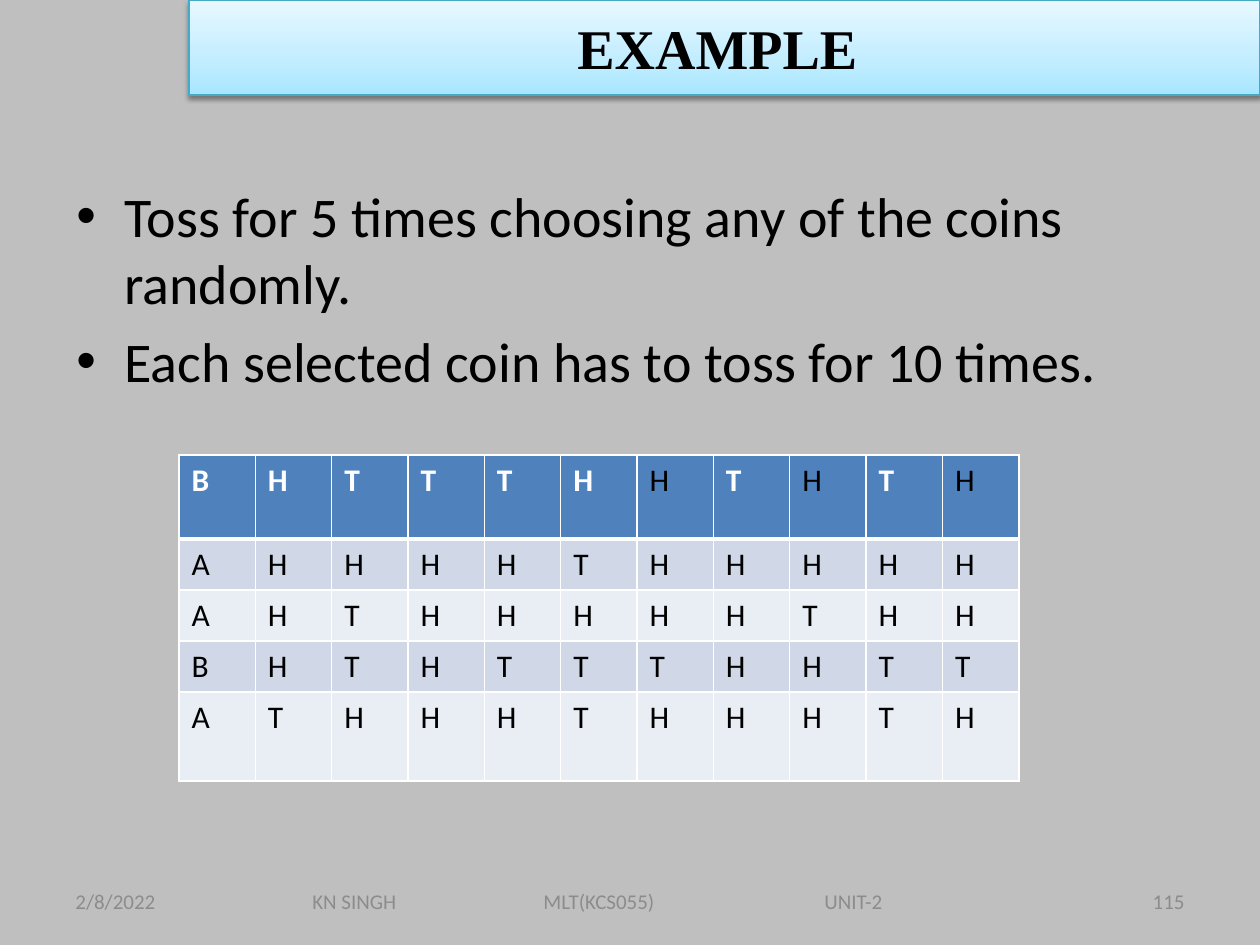
from copy import deepcopy
from dataclasses import dataclass

from lxml import etree
from pptx import Presentation
from pptx.dml.color import RGBColor
from pptx.enum.text import MSO_ANCHOR, MSO_AUTO_SIZE, PP_ALIGN
from pptx.oxml import parse_xml
from pptx.oxml.ns import nsdecls, qn
from pptx.util import Pt

MIDDLE = MSO_ANCHOR.MIDDLE
NO_AUTOFIT = MSO_AUTO_SIZE.NONE
LEFT, CENTER, RIGHT = PP_ALIGN.LEFT, PP_ALIGN.CENTER, PP_ALIGN.RIGHT
PX = 914400 // 126


@dataclass(frozen=True)
class Theme:
    background: str = "BFBFBF"
    ink: str = "000000"
    white: str = "FFFFFF"
    muted: str = "8C8C8C"
    title_line: str = "46AAC5"
    title_gradient: tuple = ((0, "A7E6FF"), (0.35, "C1EDFF"), (1, "E7F8FF"))
    header: str = "4F81BD"
    bands: tuple = ("D0D8E8", "E9EDF4")
    body_font: str = "Calibri"
    title_font: str = "Times New Roman"
    large: int = 32
    table: int = 18
    footer: int = 12


THEME = Theme()


def format_text(paragraph, size, color, bold=False, font_name=THEME.body_font):
    for run in paragraph.runs:
        run.font.name = font_name
        run.font.size = Pt(size)
        run.font.bold = bold
        run.font.color.rgb = RGBColor.from_string(color)


def add_text_box(slide, left, top, width, height):
    shape = slide.shapes.add_textbox(left * PX, top * PX, width * PX, height * PX)
    shape.text_frame.word_wrap = True
    return shape.text_frame


presentation = Presentation()
presentation.slide_width = 1260 * PX
presentation.slide_height = 945 * PX
slide = presentation.slides.add_slide(presentation.slide_layouts[5])
slide.background.fill.solid()
slide.background.fill.fore_color.rgb = RGBColor.from_string(THEME.background)

title = slide.shapes.title
title.left, title.top, title.width, title.height = 189 * PX, 0, 1071 * PX, 95 * PX
title.fill.gradient()
title.fill.gradient_angle = 90
stop_list = title.fill._xPr.find(qn("a:gradFill")).find(qn("a:gsLst"))
stop_list.append(deepcopy(stop_list[0]))
for stop, (position, color) in zip(title.fill.gradient_stops, THEME.title_gradient):
    stop.position = position
    stop.color.rgb = RGBColor.from_string(color)
title.line.color.rgb = RGBColor.from_string(THEME.title_line)
title.line.width = Pt(0.75)
title._element.spPr.append(parse_xml(
    f'<a:effectLst {nsdecls("a")}><a:outerShdw blurRad="39370" dist="20320" dir="5400000" rotWithShape="0">'
    f'<a:srgbClr val="{THEME.ink}"><a:alpha val="38000"/></a:srgbClr></a:outerShdw></a:effectLst>'
))
title.text_frame.text = "EXAMPLE "
title.text_frame.auto_size = NO_AUTOFIT
title.text_frame.vertical_anchor = MIDDLE
title.text_frame.paragraphs[0].alignment = CENTER
format_text(title.text_frame.paragraphs[0], THEME.large, THEME.ink, True, THEME.title_font)

body = add_text_box(slide, 64, 175, 1134, 624)
body.text = (
    "Toss for 5 times choosing any of the coins randomly.\n"
    "Each selected coin has to toss for 10 times."
)
for paragraph in body.paragraphs:
    paragraph.space_before = Pt(6.4)
    format_text(paragraph, THEME.large, THEME.ink)
    properties = paragraph._p.get_or_add_pPr()
    properties.set("marL", str(48 * PX))
    properties.set("indent", str(-48 * PX))
    etree.SubElement(properties, qn("a:buFont"), typeface="Arial")
    etree.SubElement(properties, qn("a:buChar"), char="•")

toss_rows = ["BHTTTHHTHTH", "AHHHHTHHHHH", "AHTHHHHHTHH", "BHTHTTTHHTT", "ATHHHTHHHTH"]
row_heights = [84, 51, 51, 51, 89]
plain_header_columns = {6, 8, 10}
table = slide.shapes.add_table(
    len(toss_rows), len(toss_rows[0]), 179 * PX, 455 * PX, 840 * PX, sum(row_heights) * PX
).table
table.first_row = False
table.horz_banding = False
for row_index, (tosses, height) in enumerate(zip(toss_rows, row_heights)):
    table.rows[row_index].height = height * PX
    for column_index, toss in enumerate(tosses):
        is_header = row_index == 0
        highlighted = is_header and column_index not in plain_header_columns
        cell = table.cell(row_index, column_index)
        cell.text_frame.text = toss
        format_text(
            cell.text_frame.paragraphs[0], THEME.table,
            THEME.white if highlighted else THEME.ink, highlighted,
        )
        cell_properties = cell._tc.get_or_add_tcPr()
        for side in ("lnL", "lnR", "lnT", "lnB"):
            thick = (is_header and side == "lnB") or (row_index == 1 and side == "lnT")
            cell_properties.append(parse_xml(
                f'<a:{side} {nsdecls("a")} w="{Pt(3 if thick else 1)}"><a:solidFill>'
                f'<a:srgbClr val="{THEME.white}"/></a:solidFill></a:{side}>'
            ))
        cell.fill.solid()
        fill_color = THEME.header if is_header else THEME.bands[(row_index - 1) % 2]
        cell.fill.fore_color.rgb = RGBColor.from_string(fill_color)

footers = [
    ("2/8/2022", 63, 294, LEFT),
    ("KN SINGH\tMLT(KCS055)\tUNIT-2", 300, 645, LEFT),
    ("115", 903, 294, RIGHT),
]
for text, left, width, alignment in footers:
    footer = add_text_box(slide, left, 876, width, 50)
    footer.vertical_anchor = MIDDLE
    footer.text = text
    paragraph = footer.paragraphs[0]
    paragraph.alignment = alignment
    format_text(paragraph, THEME.footer, THEME.muted)
    if "\t" in text:
        tab_list = etree.SubElement(paragraph._p.get_or_add_pPr(), qn("a:tabLst"))
        for offset in (231, 512):
            etree.SubElement(tab_list, qn("a:tab"), pos=str(offset * PX), algn="l")

presentation.save("out.pptx")
